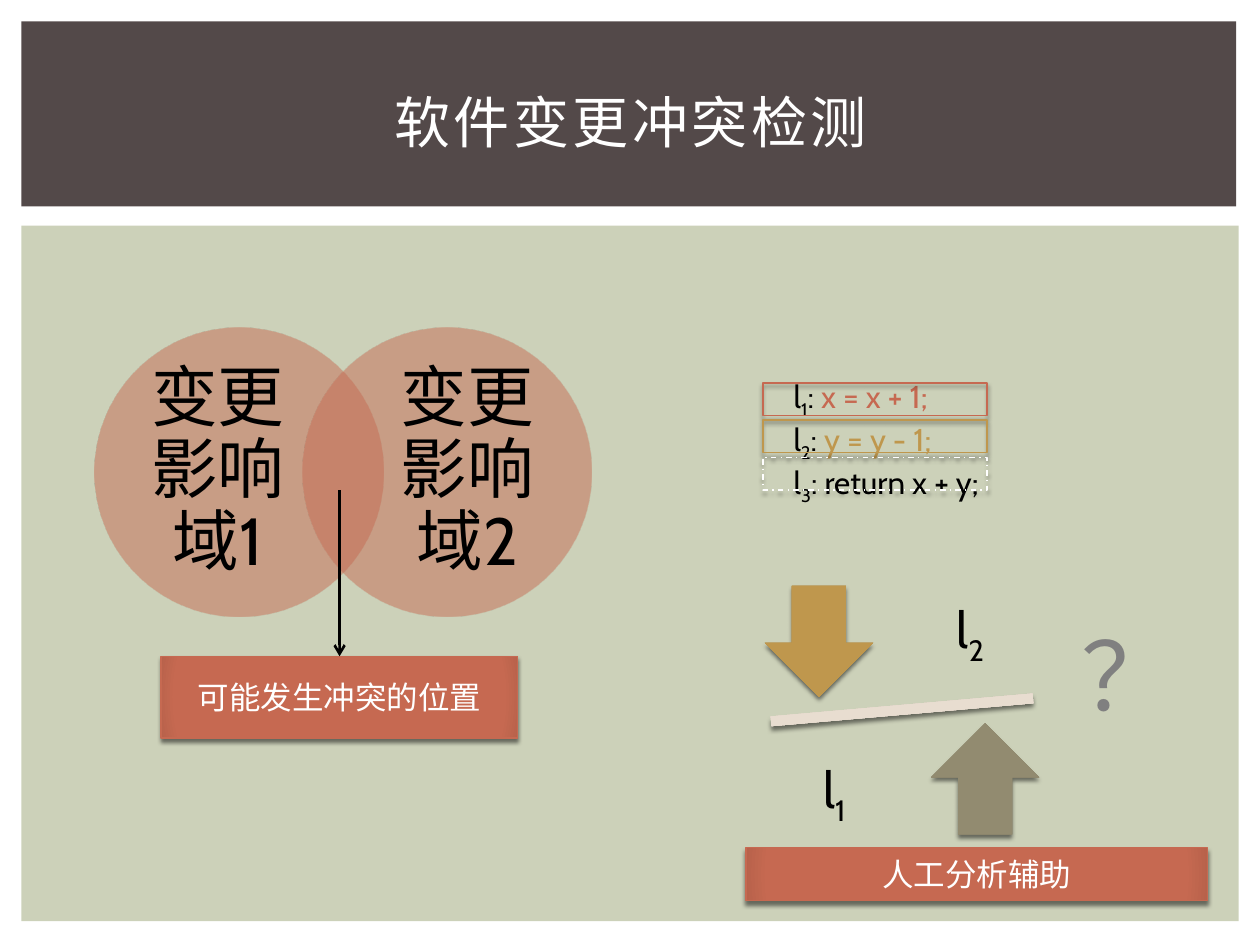
from dataclasses import dataclass

from lxml import etree
from pptx import Presentation
from pptx import util as u
from pptx.dml.color import RGBColor
from pptx.enum import dml, shapes, text
from pptx.oxml import ns


@dataclass(frozen=True)
class Theme:
    font: str = "Cabin"
    panel: str = "CCD1B9"
    banner: str = "534949"
    black: str = "000000"
    white: str = "FFFFFF"
    grey: str = "808080"
    red: str = "C66951"
    gold: str = "BF974D"
    red_fill: tuple = ("C66951", "B8624B")
    gold_fill: tuple = ("BF974D", "B28D48")
    olive_fill: tuple = ("928B70", "888268")
    sand_fill: tuple = ("E8DDD0", "D8CEC2")
    question_pt: float = 54
    domain_pt: float = 38
    title_pt: float = 32
    label_pt: float = 29
    body_pt: float = 18


theme = Theme()
Kind = shapes.MSO_SHAPE
Align = text.PP_ALIGN
A = f'xmlns:a="{ns.nsuri("a")}"'
SHADOW = (f'<a:outerShdw {A} blurRad="31750" dist="25400" dir="5400000" rotWithShape="0">'
          '<a:srgbClr val="000000"><a:alpha val="50000"/></a:srgbClr></a:outerShdw>')


def draw(kind, box, fill=None, line=None, alpha=100, shadow=True):
    """Add a shape; fill is None, one colour, or a (centre, edge) pair for a radial gradient."""
    shape = slide.shapes.add_shape(kind, *map(u.Cm, box))
    shape.shadow.inherit = False
    if shadow:
        shape.element.spPr.find(ns.qn("a:effectLst")).append(etree.fromstring(SHADOW))
    if isinstance(fill, str):
        shape.fill.solid()
        shape.fill.fore_color.rgb = RGBColor.from_string(fill)
    else:
        shape.fill.background()
    if isinstance(fill, tuple):
        centre, edge = fill
        stops = "".join(
            f'<a:gs pos="{pos}000"><a:srgbClr val="{color}"><a:alpha val="{alpha}000"/></a:srgbClr></a:gs>'
            for pos, color in ((0, centre), (90, centre), (100, edge)))
        gradient = etree.fromstring(
            f'<a:gradFill {A} rotWithShape="1"><a:gsLst>{stops}</a:gsLst><a:path path="circle">'
            '<a:fillToRect l="100000" t="100000" r="100000" b="100000"/></a:path></a:gradFill>')
        properties = shape.element.spPr
        properties.replace(properties.find(ns.qn("a:noFill")), gradient)
    if line:
        shape.line.color.rgb = RGBColor.from_string(line)
        shape.line.width = u.Pt(0.79)
    else:
        shape.line.fill.background()
    return shape


def write(shape, lines, size, color=theme.black, align=Align.CENTER, inset=None, spacing=None, wrap=True):
    """Fill a shape with lines; each is a list of (words, colour or None, is subscript)."""
    frame = shape.text_frame
    frame.word_wrap = wrap
    frame.vertical_anchor = text.MSO_ANCHOR.MIDDLE if align == Align.CENTER else text.MSO_ANCHOR.TOP
    if inset is not None:
        frame.margin_left = frame.margin_right = frame.margin_top = frame.margin_bottom = u.Cm(inset)
    for number, parts in enumerate(lines):
        paragraph = frame.add_paragraph() if number else frame.paragraphs[0]
        paragraph.alignment = align
        paragraph.line_spacing = spacing
        paragraph.font.name = theme.font
        paragraph.font.size = u.Pt(size)
        paragraph.font.color.rgb = RGBColor.from_string(color)
        for words, accent, subscript in parts:
            run = paragraph.add_run()
            run.text = words
            if accent:
                run.font.color.rgb = RGBColor.from_string(accent)
            if subscript:
                run._r.get_or_add_rPr().set("baseline", "-25000")


deck = Presentation()
deck.slide_width, deck.slide_height = u.Cm(25.4), u.Cm(19.05)
slide = deck.slides.add_slide(deck.slide_layouts[5])

# Background panels and title
draw(Kind.RECTANGLE, (0.43, 4.55, 24.54, 14.02), theme.panel, shadow=False)
draw(Kind.RECTANGLE, (0.43, 0.43, 24.49, 3.73), theme.banner, shadow=False)
title = slide.shapes.title
title.element.getparent().append(title.element)
title.left, title.top, title.width, title.height = map(u.Cm, (1.07, 0.99, 23.29, 2.92))
write(title, [[("软件变更冲突检测", None, False)]], theme.title_pt, theme.white)
title.text_frame.paragraphs[0].runs[0]._r.get_or_add_rPr().set("spc", "200")

# Overlapping change domains
for circle_left, label_left, domain in ((1.91, 2.72, "变更影响域1"), (6.1, 7.75, "变更影响域2")):
    draw(Kind.OVAL, (circle_left, 6.6, 5.82, 5.82), theme.red_fill, alpha=50, shadow=False)
    domain_label = slide.shapes.add_textbox(*map(u.Cm, (label_left, 7.29, 3.35, 4.45)))
    write(domain_label, [[(domain, None, False)]], theme.domain_pt, inset=0, spacing=0.9)

# Captions
conflict, manual_help = [
    draw(Kind.RECTANGLE, box, theme.red_fill, theme.red)
    for box in ((3.25, 13.23, 7.19, 1.65), (15.04, 17.09, 9.3, 1.07))]
for caption, words in ((conflict, "可能发生冲突的位置"), (manual_help, "人工分析辅助")):
    write(caption, [[(words, None, False)]], theme.body_pt, theme.white)

# Arrow from the overlap to its caption
middle = conflict.left + conflict.width // 2
pointer = slide.shapes.add_connector(shapes.MSO_CONNECTOR.STRAIGHT, middle, u.Cm(9.88), middle, conflict.top)
pointer.end_connect(conflict, 0)
pointer.line.color.rgb = RGBColor.from_string(theme.black)
pointer.line.width = u.Pt(1.5)
etree.SubElement(pointer.line._get_or_add_ln(), ns.qn("a:tailEnd"), type="arrow")
etree.SubElement(pointer.element.spPr, ns.qn("a:effectLst"))

# Balance between the two changed lines
question = slide.shapes.add_textbox(*map(u.Cm, (21.56, 12.32, 3.4, 2.57)))
write(question, [[("？", None, False)]], theme.question_pt, theme.grey, Align.LEFT)
beam = draw(Kind.MATH_MINUS, (14.58, 13.89, 7.21, 0.84), theme.sand_fill)
beam.rotation = 355
draw(Kind.DOWN_ARROW, (15.42, 11.81, 2.18, 2.24), theme.gold_fill)
draw(Kind.UP_ARROW, (18.77, 14.58, 2.18, 2.24), theme.olive_fill)
for left, top, index in ((18.39, 11.53, "2"), (15.65, 14.76, "1")):
    line_label = slide.shapes.add_textbox(*map(u.Cm, (left, top, 2.34, 2.34)))
    write(line_label, [[("l", None, False), (index, None, True)]], theme.label_pt, inset=0.58, spacing=0.9)

# Code lines and their frames
statements = (("x = x + 1;", theme.red), ("y = y - 1;", theme.gold), ("return x + y;", None))
code = slide.shapes.add_textbox(*map(u.Cm, (15.75, 7.47, 4.5, 2.57)))
write(code, [[("l", None, False), (str(index), None, True), (": ", None, False), (statement, accent, False)]
             for index, (statement, accent) in enumerate(statements, 1)],
      theme.body_pt, align=Align.LEFT, wrap=False)
for row, outline in enumerate((theme.red, theme.gold, theme.white)):
    code_frame = draw(Kind.RECTANGLE, (15.38, 7.72 + 0.75 * row, 4.52, 0.66), line=outline)
code_frame.line.dash_style = dml.MSO_LINE.DASH_DOT

deck.save("out.pptx")
